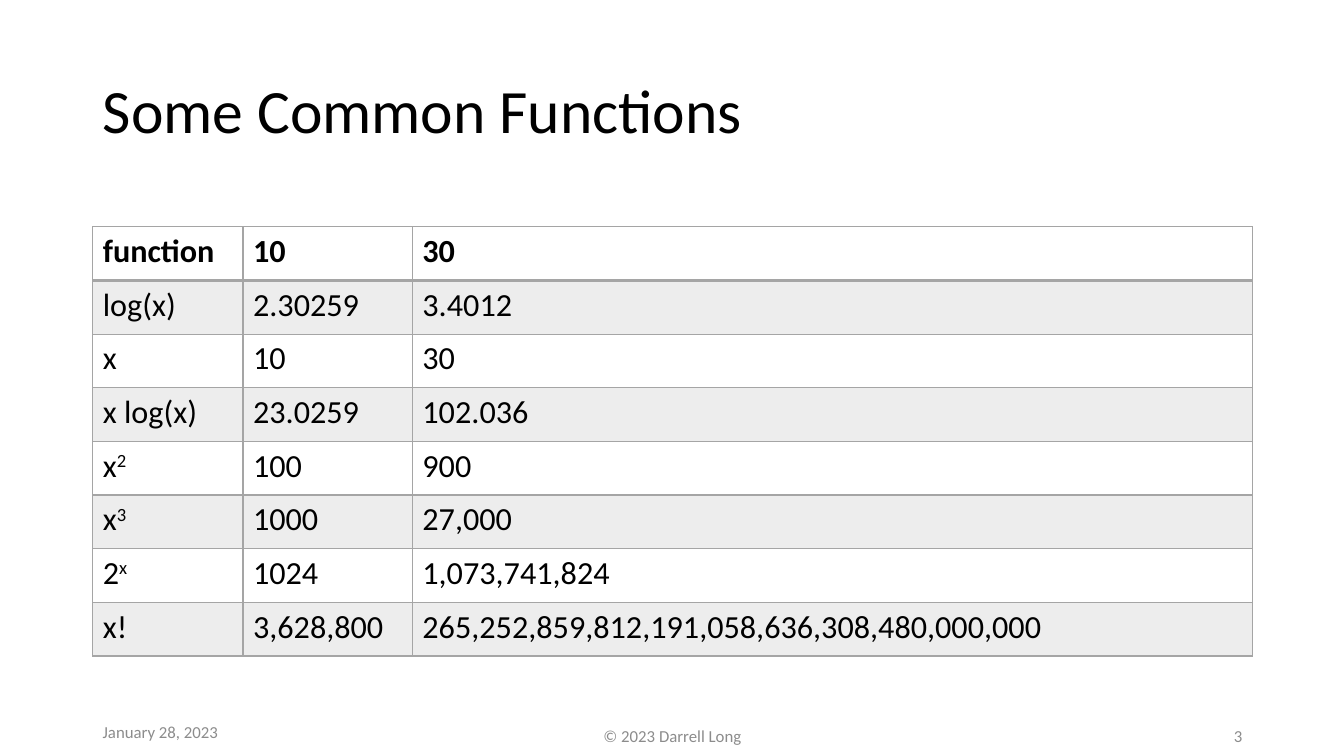
from lxml import etree
from pptx import Presentation
from pptx.dml.color import RGBColor
from pptx.enum.text import MSO_ANCHOR, PP_ALIGN
from pptx.oxml.ns import qn
from pptx.util import Inches, Pt

BLACK = RGBColor(0x00, 0x00, 0x00)
GREY = RGBColor(0xA5, 0xA5, 0xA5)
DIM = RGBColor(0x8C, 0x8C, 0x8C)
FACE = "Calibri"
LEFT, MID, RIGHT = PP_ALIGN.LEFT, PP_ALIGN.CENTER, PP_ALIGN.RIGHT
MIDDLE = MSO_ANCHOR.MIDDLE

COLS = (1.49, 1.68, 8.33)
ROWS = (
    ("function", "10", "30"),
    ("log(x)", "2.30259", "3.4012"),
    ("x", "10", "30"),
    ("x log(x)", "23.0259", "102.036"),
    ("x^2", "100", "900"),
    ("x^3", "1000", "27,000"),
    ("2^x", "1024", "1,073,741,824"),
    ("x!", "3,628,800", "265,252,859,812,191,058,636,308,480,000,000"),
)
FOOTER = (
    ("3", 8.5, 0.04, 3, RIGHT),
    ("© 2023 Darrell Long", 3.5, 0.04, 4.5, MID),
    ("January 28, 2023", 0, 0, 1.36, LEFT),
)


def style(font, size, color, bold=False):
    font.name = FACE
    font.size = Pt(size)
    font.bold = bold
    font.color.rgb = color


def add_title(slide, left, top, width, height):
    title = slide.shapes.title
    title.left, title.top = Inches(left), Inches(top)
    title.width, title.height = Inches(width), Inches(height)
    frame = title.text_frame
    frame.text = "Some Common Functions"
    frame.word_wrap = True
    frame.vertical_anchor = MIDDLE
    para = frame.paragraphs[0]
    para.alignment = LEFT
    para.line_spacing = 0.9
    style(para.runs[0].font, 44, BLACK)


def add_border(cell, side, width):
    props = cell._tc.get_or_add_tcPr()
    line = etree.SubElement(props, qn("a:ln" + side), w=str(Pt(width)))
    solid = etree.SubElement(line, qn("a:solidFill"))
    etree.SubElement(solid, qn("a:srgbClr"), val=str(GREY))


def fill_cell(cell, banded):
    if not banded:
        cell.fill.background()
        return
    cell.fill.solid()
    cell.fill.fore_color.rgb = GREY
    color = cell._tc.tcPr.find(qn("a:solidFill")).find(qn("a:srgbClr"))
    etree.SubElement(color, qn("a:alpha"), val="20000")


def write_cell(cell, text, bold):
    base, _, power = text.partition("^")
    para = cell.text_frame.paragraphs[0]
    para.text = base
    if power:
        raised = para.add_run()
        raised.text = power
        raised._r.get_or_add_rPr().set("baseline", "30000")
    for run in para.runs:
        style(run.font, 23, BLACK, bold)


def add_grid(slide, left, top, width, height):
    frame = slide.shapes.add_table(
        len(ROWS), len(COLS),
        Inches(left), Inches(top), Inches(width), Inches(height))
    table = frame.table
    for col, size in zip(table.columns, COLS):
        col.width = Inches(size)
    for i, values in enumerate(ROWS):
        table.rows[i].height = Inches(height / len(ROWS))
        for j, text in enumerate(values):
            cell = table.cell(i, j)
            write_cell(cell, text, i == 0)
            for side in "LRTB":
                heavy = (i, side) in ((0, "B"), (1, "T"))
                add_border(cell, side, 2 if heavy else 1)
            fill_cell(cell, i % 2 == 1)


def add_footer(slide, left, top, height):
    for text, dx, dy, width, align in FOOTER:
        box = slide.shapes.add_textbox(
            Inches(left + dx), Inches(top + dy), Inches(width), Inches(height))
        frame = box.text_frame
        frame.text = text
        frame.word_wrap = True
        frame.vertical_anchor = MIDDLE
        para = frame.paragraphs[0]
        para.alignment = align
        style(para.runs[0].font, 12, DIM)


def main():
    deck = Presentation()
    deck.slide_width, deck.slide_height = Inches(13.33), Inches(7.5)
    slide = deck.slides.add_slide(deck.slide_layouts[5])
    add_title(slide, 0.92, 0.4, 11.5, 1.45)
    add_grid(slide, 0.92, 2.25, 11.5, 4.26)
    add_footer(slide, 0.92, 7.06, 0.4)
    deck.save("out.pptx")


if __name__ == "__main__":
    main()
